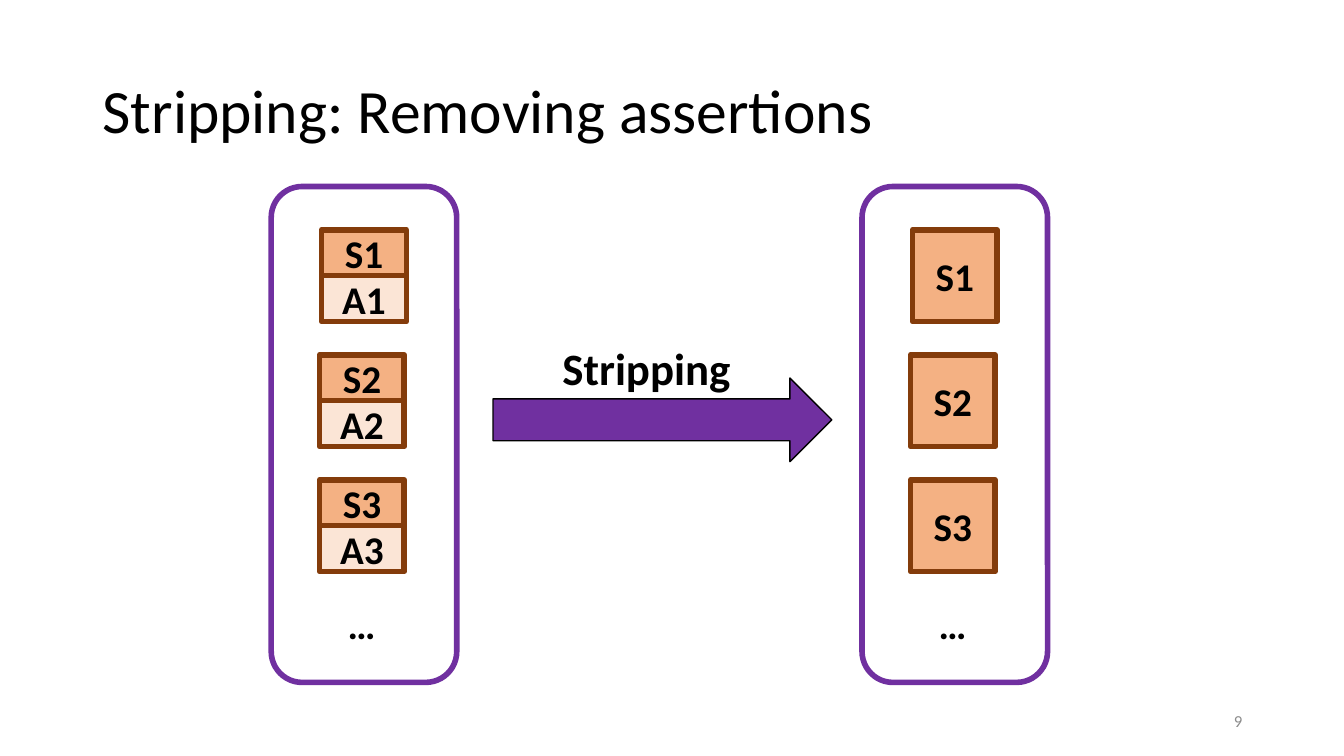
from pptx import Presentation
from pptx.dml.color import RGBColor
from pptx.enum.shapes import MSO_SHAPE
from pptx.enum.text import MSO_ANCHOR, PP_ALIGN
from pptx.util import Inches, Pt

ROUNDED = MSO_SHAPE.ROUNDED_RECTANGLE
PROCESS = MSO_SHAPE.FLOWCHART_PROCESS
ARROW = MSO_SHAPE.RIGHT_ARROW
MIDDLE, TOP = MSO_ANCHOR.MIDDLE, MSO_ANCHOR.TOP
LEFT, CENTER, RIGHT = PP_ALIGN.LEFT, PP_ALIGN.CENTER, PP_ALIGN.RIGHT

PURPLE, BROWN, BLACK, GREY = "7030A0", "843C0B", "000000", "8C8C8C"
STATEMENT_FILL, ASSERTION_FILL = "F4B183", "FBE5D6"
LABEL_FORMAT = {"size": Pt(28), "bold": True}

PANEL_TOP, PANEL_WIDTH, PANEL_HEIGHT = 1.85, 1.84, 4.92
BLOCK_WIDTH, BLOCK_HEIGHT, BLOCK_PITCH = 0.84, 0.91, 1.24


def color(value):
    return RGBColor.from_string(value)


def write(frame, text, font_format, text_color=BLACK, align=LEFT, anchor=TOP):
    """Put one formatted paragraph in a text frame and return it."""
    frame.vertical_anchor = anchor
    para = frame.paragraphs[0]
    para.alignment = align
    span = para.add_run()
    span.text = text
    span.font.color.rgb = color(text_color)
    for name, value in {"name": "Calibri", **font_format}.items():
        setattr(span.font, name, value)
    return para


def add_text(page, box, text, font_format, wrap=True, **layout):
    text_box = page.shapes.add_textbox(*map(Inches, box))
    text_box.text_frame.word_wrap = wrap
    return write(text_box.text_frame, text, font_format, **layout)


def add_box(page, kind, box, fill, line, line_width):
    shape = page.shapes.add_shape(kind, *map(Inches, box))
    shape.shadow.inherit = False
    if fill:
        shape.fill.solid()
        shape.fill.fore_color.rgb = color(fill)
    else:
        shape.fill.background()
    shape.line.color.rgb = color(line)
    shape.line.width = Pt(line_width)
    return shape


def add_block(page, left, top, parts):
    """Stack labelled parts of equal height to fill one block."""
    height = BLOCK_HEIGHT / len(parts)
    for row, (label, fill) in enumerate(parts):
        box = (left, top + row * height, BLOCK_WIDTH, height)
        shape = add_box(page, PROCESS, box, fill, BROWN, 4)
        write(shape.text_frame, label, LABEL_FORMAT, align=CENTER, anchor=MIDDLE)


def add_panel(page, left, with_assertions):
    box = (left, PANEL_TOP, PANEL_WIDTH, PANEL_HEIGHT)
    add_box(page, ROUNDED, box, None, PURPLE, 4)
    for index in range(3):
        parts = [(f"S{index + 1}", STATEMENT_FILL)]
        if with_assertions:
            parts.append((f"A{index + 1}", ASSERTION_FILL))
        inset = 0.5 if index == 0 else 0.48
        add_block(page, left + inset, PANEL_TOP + 0.43 + index * BLOCK_PITCH, parts)
    add_text(page, (left + 0.66, PANEL_TOP + 4.06, 0.48, 0.57), "…",
             LABEL_FORMAT, wrap=False)


def add_step(page, left, top):
    add_box(page, ARROW, (left, top + 0.42, 3.36, 0.83), PURPLE, BLACK, 1)
    add_text(page, (left + 0.59, top, 1.88, 0.64), "Stripping",
             {"size": Pt(32), "bold": True}, wrap=False)


def build_stripping_slide(page):
    title = add_text(page, (0.92, 0.4, 11.5, 1.45), "Stripping: Removing assertions",
                     {"size": Pt(44)}, anchor=MIDDLE)
    title.line_spacing = 0.9
    add_panel(page, 2.69, with_assertions=True)
    add_panel(page, 8.55, with_assertions=False)
    add_step(page, 4.89, 3.33)
    add_text(page, (9.42, 6.95, 3, 0.4), "9", {"size": Pt(12)},
             text_color=GREY, align=RIGHT, anchor=MIDDLE)


def main():
    deck = Presentation()
    deck.slide_width, deck.slide_height = Inches(13.33), Inches(7.5)
    build_stripping_slide(deck.slides.add_slide(deck.slide_layouts[6]))
    deck.save("out.pptx")


if __name__ == "__main__":
    main()
